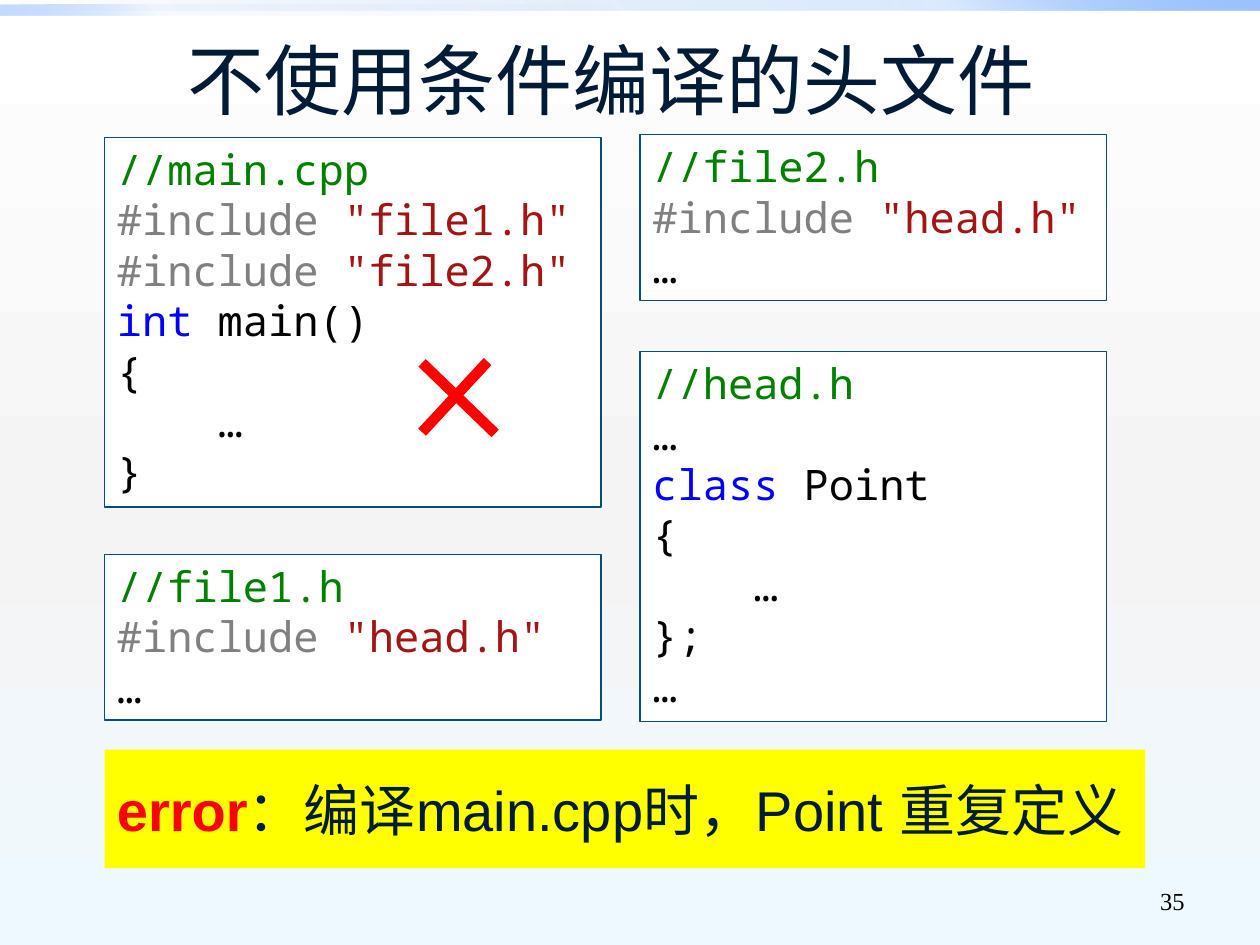
from lxml import etree
from pptx import Presentation
from pptx import util as u
from pptx.dml.color import RGBColor
from pptx.enum import shapes, text
from pptx.oxml.ns import qn

WIDTH, HEIGHT = 10, 7.5
COLOURS = {
    "title": "001B36", "black": "000000", "white": "FFFFFF",
    "border": "064E74", "note": "FFFF00", "error": "FF0000",
    "comment": "008000", "directive": "808080", "string": "A31515",
    "keyword": "0000FF", "grey": "F4F4F4", "ice": "EEF9FF",
    "deep": "0058B7", "mid": "4F95FF", "pale": "9EC2FF",
}
KEYWORDS = ("int", "class")

# Two columns of code boxes: (left, width); heights depend on the line count
LEFT_COLUMN, RIGHT_COLUMN = (0.83, 3.94), (5.08, 3.7)
LINE_HEIGHT, BOX_PADDING = 0.405, 0.1


def colour(name):
    return RGBColor.from_string(COLOURS[name])


def inches(*lengths):
    return [u.Inches(length) for length in lengths]


def set_gradient(fill, owner, stops, angle):
    """Stops are (position %, colour name, opacity %); angle is clockwise."""
    fill.gradient()
    fill.gradient_angle = 360 - angle
    stop_list = owner.find(".//" + qn("a:gsLst"))
    for old_stop in list(stop_list):
        stop_list.remove(old_stop)
    for position, name, opacity in stops:
        stop = etree.SubElement(stop_list, qn("a:gs"), pos=str(position * 1000))
        tint = etree.SubElement(stop, qn("a:srgbClr"), val=COLOURS[name])
        if opacity < 100:
            etree.SubElement(tint, qn("a:alpha"), val=str(opacity * 1000))


def add_panel(slide, box, fill=None, border=None):
    panel = slide.shapes.add_shape(shapes.MSO_SHAPE.RECTANGLE, *inches(*box))
    panel.shadow.inherit = False
    if fill:
        panel.fill.solid()
        panel.fill.fore_color.rgb = colour(fill)
    if border:
        panel.line.color.rgb = colour(border)
        panel.line.width = u.Pt(0.75)
    else:
        panel.line.fill.background()
    return panel


def write(shape, lines, size, font, align="LEFT", anchor="MIDDLE", grow=False):
    """Each line is a list of (words, colour name, bold) runs."""
    frame = shape.text_frame
    frame.word_wrap = True
    frame.vertical_anchor = text.MSO_ANCHOR[anchor]
    if grow:
        frame.auto_size = text.MSO_AUTO_SIZE.SHAPE_TO_FIT_TEXT
    for number, runs in enumerate(lines):
        paragraph = frame.add_paragraph() if number else frame.paragraphs[0]
        paragraph.alignment = text.PP_ALIGN[align]
        for words, name, bold in runs:
            run = paragraph.add_run()
            run.text = words
            run.font.size, run.font.name = u.Pt(size), font
            run.font.bold = bold
            run.font.color.rgb = colour(name)


def highlight(line):
    """Split one line of C++ into coloured runs."""
    if line.startswith("//"):
        return [(line, "comment", False)]
    if line.startswith("#"):
        directive, quote, rest = line.partition('"')
        return [(directive, "directive", False), (quote + rest, "string", False)]
    word, space, rest = line.partition(" ")
    if word in KEYWORDS:
        return [(word, "keyword", False), (space + rest, "black", False)]
    return [(line, "black", False)]


def add_code(slide, column, top, source):
    lines = source.split("\n")
    left, width = column
    height = len(lines) * LINE_HEIGHT + BOX_PADDING
    panel = add_panel(slide, (left, top, width, height), "white", "border")
    write(panel, [highlight(line) for line in lines], 24, "Noto Sans Mono",
          anchor="TOP", grow=True)


def add_label(slide, box, words, size, font, name, align):
    label = slide.shapes.add_textbox(*inches(*box))
    write(label, [[(words, name, False)]], size, font, align)


def add_cross(slide, strokes):
    cross = slide.shapes.add_group_shape()
    for ends in strokes:
        stroke = cross.shapes.add_connector(
            shapes.MSO_CONNECTOR.STRAIGHT, *inches(*ends))
        stroke.line.color.rgb = colour("error")
        stroke.line.width = u.Pt(6)
        etree.SubElement(stroke.element.spPr, qn("a:effectLst"))


def add_backdrop(slide):
    set_gradient(slide.background.fill, slide.element,
                 [(0, "white", 100), (55, "grey", 100), (100, "ice", 100)], 90)
    # Translucent bands along the top edge: box, middle and end opacity, angle
    bands = [((0, 0, WIDTH, 0.08), 20, 100, 315),
             ((0, 0.04, WIDTH / 2, 0.08), 5, 60, 135)]
    for box, middle, end, angle in bands:
        band = add_panel(slide, box)
        set_gradient(band.fill, band.element,
                     [(0, "deep", 0), (75, "mid", middle), (100, "pale", end)],
                     angle)


def main():
    deck = Presentation()
    deck.slide_width, deck.slide_height = inches(WIDTH, HEIGHT)
    slide = deck.slides.add_slide(deck.slide_layouts[6])
    add_backdrop(slide)

    # Title and page number
    add_label(slide, (0.35, 0, 9, 1.25), "不使用条件编译的头文件",
              44, "Roboto", "title", "CENTER")
    add_label(slide, (7.17, 6.95, 2.33, 0.4), "35",
              14, "Times New Roman", "black", "RIGHT")

    # Source files
    add_code(slide, LEFT_COLUMN, 1.09,
             '//main.cpp\n#include "file1.h"\n#include "file2.h"\n'
             'int main()\n{\n    …\n}')
    add_code(slide, LEFT_COLUMN, 4.4, '//file1.h\n#include "head.h"\n…')
    add_code(slide, RIGHT_COLUMN, 1.07, '//file2.h\n#include "head.h"\n…')
    add_code(slide, RIGHT_COLUMN, 2.79,
             '//head.h\n…\nclass Point\n{\n    …\n};\n…')

    # Compiler error
    error_note = add_panel(slide, (LEFT_COLUMN[0], 5.95, 8.26, 0.94), "note")
    write(error_note, [[("error", "error", True),
                        ("：编译main.cpp时，Point 重复定义", "title", False)]],
          32, "Arial")
    add_cross(slide, [(3.35, 2.88, 3.93, 3.44), (3.35, 3.43, 3.87, 2.87)])

    deck.save("out.pptx")


if __name__ == "__main__":
    main()
